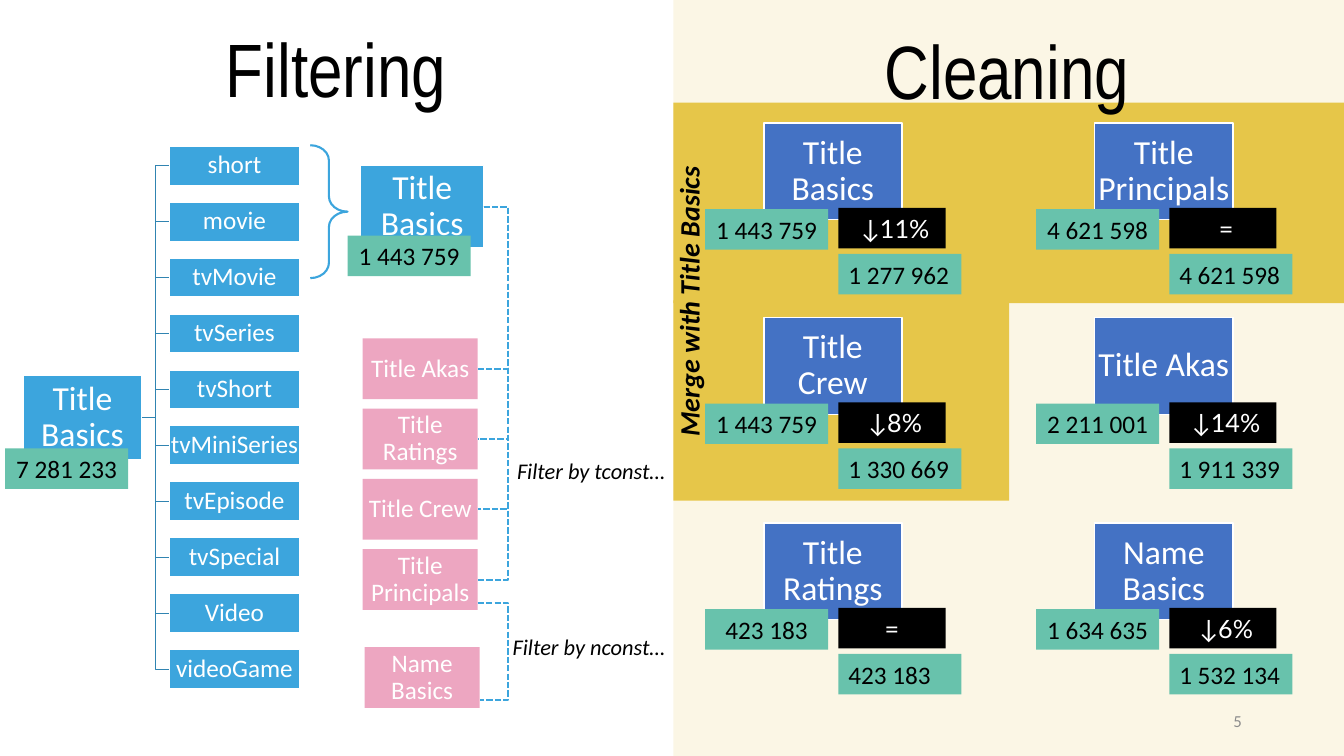
import pptx
import pptx.dml.color
import pptx.enum.dml
import pptx.enum.shapes
import pptx.enum.text
import pptx.oxml
import pptx.oxml.ns
import pptx.util
from dataclasses import dataclass
from pptx.util import Cm

# ---------- Content ----------
FILTERING, CLEANING = "Filtering", "Cleaning"
SOURCE_TABLE, SOURCE_COUNT, KEPT_COUNT = "Title Basics", "7 281 233", "1 443 759"
TITLE_TYPES = ["short", "movie", "tvMovie", "tvSeries", "tvShort", "tvMiniSeries",
               "tvEpisode", "tvSpecial", "Video", "videoGame"]
TCONST_TABLES = ["Title Akas", "Title Ratings", "Title Crew", "Title Principals"]
NCONST_TABLE = "Name Basics"
FILTER_NOTES = [("Filter by tconst…", 12.78, 11.4, 4.34),
                ("Filter by nconst…", 12.67, 15.82, 4.6)]
MERGE_NOTE = "Merge with Title Basics"
PAGE_NUMBER = "5"
# Rows of the cleaning grid: (table, rows before, change, rows after)
CLEANED = [
    [("Title Basics", "1 443 759", " ↓11%", "1 277 962"),
     ("Title Principals", "4 621 598", " =", "4 621 598")],
    [("Title Crew", "1 443 759", " ↓8%", "1 330 669"),
     ("Title Akas", "2 211 001", " ↓14%", "1 911 339")],
    [("Title Ratings", "423 183", "=", "423 183"),
     ("Name Basics", "1 634 635", " ↓6%", "1 532 134")],
]


@dataclass(frozen=True)
class Theme:
    sky: str = "3CA5DD"
    branch: str = "3084B1"
    pink: str = "EDA6C1"
    mint: str = "68C2AC"
    blue: str = "4472C4"
    gold: str = "E6C649"
    black: str = "000000"
    white: str = "FFFFFF"
    grey: str = "8C8C8C"
    body: str = "Calibri"
    heading: str = "Arial Narrow"
    figures: str = "Lato"
    title_pt: int = 54
    table_pt: int = 24
    merge_pt: int = 20
    label_pt: int = 18
    note_pt: int = 16
    page_pt: int = 12


T = Theme()
KIND = pptx.enum.shapes.MSO_SHAPE
ALIGN = pptx.enum.text.PP_ALIGN
ANCHOR = pptx.enum.text.MSO_ANCHOR
FIT = pptx.enum.text.MSO_AUTO_SIZE
LEFT, TOP, RIGHT = 1, 0, 3  # connection sites; only the sides are used below


# ---------- Helpers ----------
def rgb(code):
    return pptx.dml.color.RGBColor.from_string(code)


def write(shape, words, size, color=T.black, font=T.body, align=ALIGN.CENTER,
          anchor=ANCHOR.MIDDLE, inset=None, spacing=None, grow=False,
          bold=False, italic=False):
    frame = shape.text_frame
    frame.word_wrap = True
    frame.auto_size = FIT.SHAPE_TO_FIT_TEXT if grow else FIT.NONE
    frame.vertical_anchor = anchor
    if inset is not None:
        frame.margin_left = frame.margin_right = Cm(inset)
        frame.margin_top = frame.margin_bottom = Cm(inset)
    paragraph = frame.paragraphs[0]
    paragraph.alignment = align
    if spacing:
        paragraph.line_spacing = spacing
    run = paragraph.add_run()
    run.text = words
    run.font.size, run.font.name = pptx.util.Pt(size), font
    run.font.bold, run.font.italic = bold, italic
    run.font.color.rgb = rgb(color)


def block(x, y, w, h, fill, outline=None, kind=KIND.RECTANGLE):
    shape = slide.shapes.add_shape(kind, Cm(x), Cm(y), Cm(w), Cm(h))
    shape.shadow.inherit = False
    if fill:
        shape.fill.solid()
        shape.fill.fore_color.rgb = rgb(fill)
    else:
        shape.fill.background()
    if outline:
        shape.line.color.rgb = rgb(outline)
        shape.line.width = pptx.util.Pt(1)
    else:
        shape.line.fill.background()
    return shape


def table_box(x, y, w, h, words, fill, size=T.table_pt, outline=T.white, inset=0.05):
    shape = block(x, y, w, h, fill, outline)
    write(shape, words, size, T.white, inset=inset, spacing=0.9)
    return shape


def tag(x, y, words, w=3.1, fill=T.mint, **style):
    write(block(x, y, w, 1.02, fill), words, T.label_pt,
          anchor=ANCHOR.TOP, grow=True, **style)


def note(x, y, w, h, words, size, **style):
    box = slide.shapes.add_textbox(Cm(x), Cm(y), Cm(w), Cm(h))
    write(box, words, size, **style)
    return box


def elbow(color, width, start=(0, 0), end=(0, 0), joins=None, bend_x=None):
    link = slide.shapes.add_connector(pptx.enum.shapes.MSO_CONNECTOR.ELBOW,
                                      *(Cm(v) for v in (*start, *end)))
    if joins:
        (first, first_side), (last, last_side) = joins
        link.begin_connect(first, first_side)
        link.end_connect(last, last_side)
    link.line.color.rgb = rgb(color)
    link.line.width = pptx.util.Pt(width)
    props = link._element.spPr
    if bend_x is not None:
        link.line.dash_style = pptx.enum.dml.MSO_LINE.SQUARE_DOT
        bend = round((Cm(bend_x) - link.begin_x) / (link.end_x - link.begin_x) * 100000)
        guides = props.find(pptx.oxml.ns.qn("a:prstGeom")).get_or_add_avLst()
        guides.append(pptx.oxml.parse_xml(
            f'<a:gd {pptx.oxml.ns.nsdecls("a")} name="adj1" fmla="val {bend}"/>'))
    props.append(pptx.oxml.parse_xml(f'<a:effectLst {pptx.oxml.ns.nsdecls("a")}/>'))


# ---------- Slide and titles ----------
deck = pptx.Presentation()
deck.slide_width, deck.slide_height = Cm(33.87), Cm(19.05)
slide = deck.slides.add_slide(deck.slide_layouts[5])

# Cleaning backdrop: pale panel and the two merge zones
panel = block(16.97, 0, 16.9, 19.05, T.gold)
tint = panel._element.spPr.find(".//" + pptx.oxml.ns.qn("a:srgbClr"))
tint.append(pptx.oxml.parse_xml(f'<a:alpha {pptx.oxml.ns.nsdecls("a")} val="14000"/>'))
block(16.97, 2.59, 16.9, 5.05, T.gold)
block(16.97, 7.57, 8.46, 5.05, T.gold)

heading = slide.shapes.title
heading.left, heading.top, heading.width, heading.height = Cm(0), Cm(0), Cm(16.94), Cm(3.68)
write(heading, FILTERING, T.title_pt, font=T.heading, spacing=0.9)
note(16.94, 0.05, 16.87, 3.68, CLEANING, T.title_pt, font=T.heading, spacing=0.9)

# ---------- Filtering: tree of title types ----------
source = table_box(0.58, 9.45, 3, 2.13, SOURCE_TABLE, T.sky)
for i, title_type in enumerate(TITLE_TYPES):
    leaf = table_box(4.27, 3.68 + 1.41 * i, 3.28, 0.99, title_type, T.sky,
                     T.label_pt, inset=0)
    elbow(T.branch, 1, joins=((source, RIGHT), (leaf, LEFT)))
tag(0.13, 11.3, SOURCE_COUNT)

# Kept types
kept = table_box(9.09, 4.17, 3.1, 2.08, SOURCE_TABLE, T.sky)
tag(8.76, 5.94, KEPT_COUNT)
brace = block(7.82, 3.66, 0.94, 3.35, None, T.sky, KIND.RIGHT_BRACE)
brace.line.width = pptx.util.Pt(1.5)
brace.adjustments[0], brace.adjustments[1] = 0.41, 0.5

# Tables filtered by key
BUS_X = 12.8
for i, name in enumerate(TCONST_TABLES):
    filtered = table_box(9.14, 8.53 + 1.77 * i, 2.9, 1.53, name, T.pink,
                         T.label_pt, outline=None)
    elbow(T.sky, 1.5, joins=((kept, RIGHT), (filtered, RIGHT)), bend_x=BUS_X)
table_box(9.19, 16.31, 2.9, 1.53, NCONST_TABLE, T.pink, T.label_pt, outline=None)
elbow(T.sky, 1.5, (12.04, 15.19), (12.09, 17.65), bend_x=BUS_X)
for words, x, y, w in FILTER_NOTES:
    note(x, y, w, 0.94, words, T.note_pt, align=ALIGN.LEFT, anchor=ANCHOR.TOP,
         grow=True, italic=True)

# ---------- Cleaning: grid of tables with row counts ----------
for y, row in zip((3.1, 8, 13.18), CLEANED):
    for column, (name, before, change, after) in enumerate(row):
        x = 19.25 + 8.34 * column
        table_box(x, y, 3.48, 2.44, name, T.blue)
        tag(x + 1.88, y + 3.3, after, align=ALIGN.LEFT)
        tag(x + 1.88, y + 2.14, change, w=2.7, fill=T.black, color=T.white, font=T.figures)
        tag(x - 1.48, y + 2.17, before)

merge = note(13.18, 7.04, 8.36, 1.12, MERGE_NOTE, T.merge_pt, anchor=ANCHOR.TOP,
             grow=True, bold=True, italic=True)
merge.rotation = 270

# Page number
note(23.93, 17.65, 7.62, 1.02, PAGE_NUMBER, T.page_pt, color=T.grey, align=ALIGN.RIGHT)

deck.save("out.pptx")
